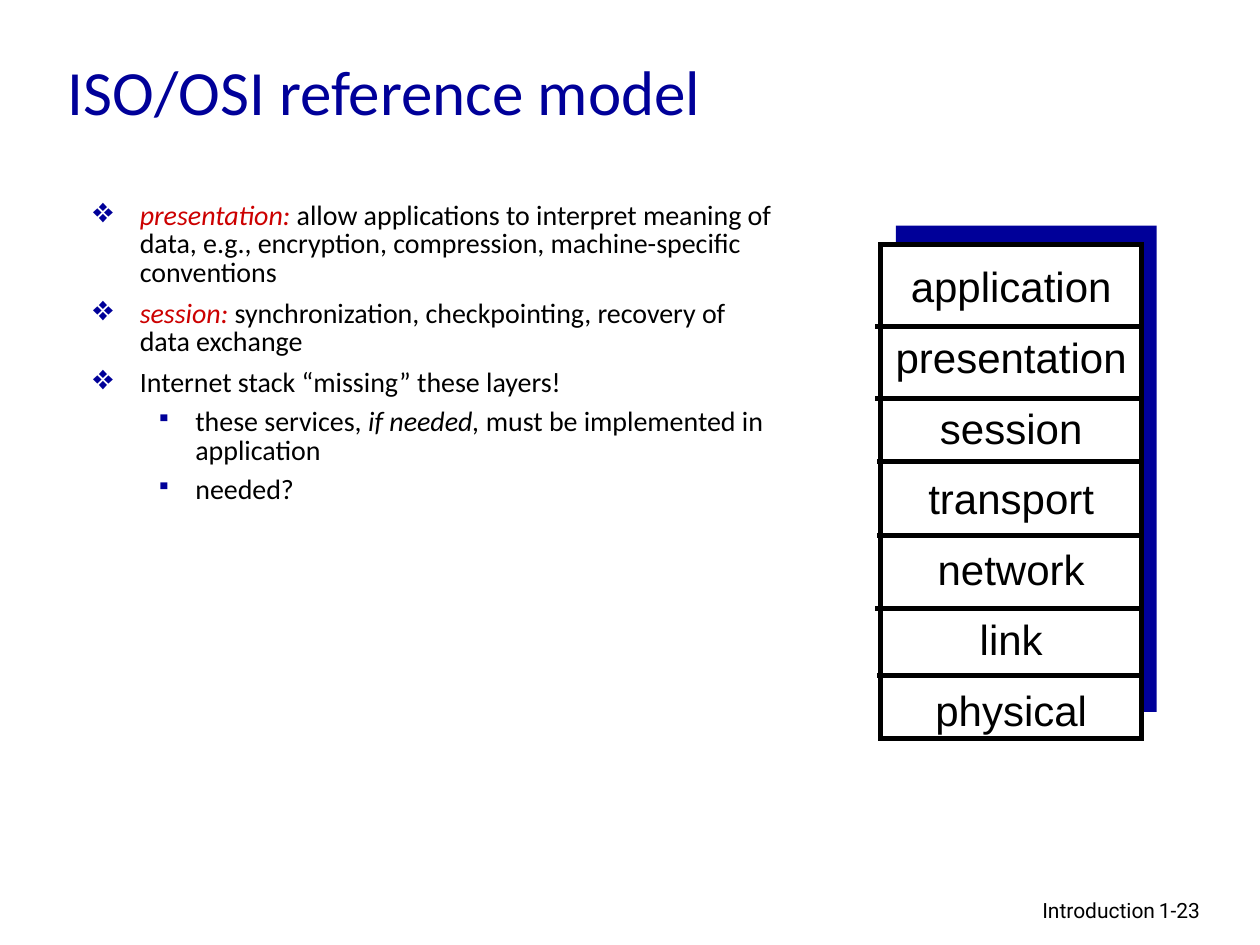
from dataclasses import dataclass

from lxml.etree import SubElement
from pptx import Presentation
from pptx.dml.color import RGBColor
from pptx.enum.shapes import MSO_CONNECTOR, MSO_SHAPE
from pptx.enum.text import MSO_ANCHOR as Anchor, PP_ALIGN as Align
from pptx.oxml.ns import qn
from pptx.slide import Slide
from pptx.text.text import TextFrame, _Paragraph as Paragraph
from pptx.util import Cm, Pt

NAVY = RGBColor(0x00, 0x00, 0x99)
RED = RGBColor(0xCC, 0x00, 0x00)
BLACK = RGBColor(0x00, 0x00, 0x00)
WHITE = RGBColor(0xFF, 0xFF, 0xFF)


@dataclass(frozen=True)
class Box:
    left: float
    top: float
    width: float
    height: float

    def lengths(self) -> list[Cm]:
        return [Cm(value) for value in (self.left, self.top, self.width, self.height)]


@dataclass(frozen=True)
class Span:
    text: str
    italic: bool = False
    color: RGBColor = BLACK


@dataclass(frozen=True)
class BulletStyle:
    symbol: str
    percent: int
    level: int
    margin: float
    hanging: float
    space_before: float


@dataclass(frozen=True)
class Bullet:
    style: BulletStyle
    spans: tuple[Span, ...]


@dataclass(frozen=True)
class Divider:
    left: float
    top: float


TOPIC = BulletStyle("❖", 125, 0, 0.94, 0.94, 7)
DETAIL = BulletStyle("▪", 75, 1, 2.06, 0.79, 6)
BULLETS = (
    Bullet(TOPIC, (
        Span("presentation:", True, RED),
        Span(" allow applications to interpret meaning of data, e.g., "
             "encryption, compression, machine-specific conventions"),
    )),
    Bullet(TOPIC, (
        Span("session:", True, RED),
        Span(" synchronization, checkpointing, recovery of data exchange"),
    )),
    Bullet(TOPIC, (Span("Internet stack “missing” these layers!"),)),
    Bullet(DETAIL, (
        Span("these services, "),
        Span("if needed,", True),
        Span(" must be implemented in application"),
    )),
    Bullet(DETAIL, (Span("needed?"),)),
)

LAYERS = ("application", "presentation", "session", "transport",
          "network", "link", "physical")
LAYER_GAP = Pt(20.2)
DIVIDERS = (Divider(17.7, 6.58), Divider(17.7, 8.03), Divider(17.73, 9.3),
            Divider(17.73, 10.8), Divider(17.7, 12.27), Divider(17.73, 13.61))
DIVIDER_WIDTH = 5.25
STACK_LINE = Pt(3)


def add_text_frame(slide: Slide, box: Box) -> TextFrame:
    frame = slide.shapes.add_textbox(*box.lengths()).text_frame
    frame.word_wrap = True
    return frame


def next_paragraph(frame: TextFrame, index: int) -> Paragraph:
    return frame.add_paragraph() if index else frame.paragraphs[0]


def set_font(paragraph: Paragraph, name: str, size: float, color: RGBColor) -> None:
    paragraph.font.name = name
    paragraph.font.size = Pt(size)
    paragraph.font.color.rgb = color


def add_line_of_text(slide: Slide, box: Box, text: str, font: str, size: float,
                     color: RGBColor = BLACK, align: Align = Align.LEFT,
                     anchor: Anchor = Anchor.TOP) -> None:
    frame = add_text_frame(slide, box)
    frame.vertical_anchor = anchor
    paragraph = frame.paragraphs[0]
    paragraph.text = text
    paragraph.alignment = align
    set_font(paragraph, font, size, color)


def set_bullet(paragraph: Paragraph, style: BulletStyle) -> None:
    paragraph.level = style.level
    properties = paragraph._p.get_or_add_pPr()
    properties.set("marL", str(Cm(style.margin)))
    properties.set("indent", str(-Cm(style.hanging)))
    color = SubElement(properties, qn("a:buClr"))
    SubElement(color, qn("a:srgbClr"), val=str(NAVY))
    SubElement(properties, qn("a:buSzPct"), val=str(style.percent * 1000))
    SubElement(properties, qn("a:buChar"), char=style.symbol)


def add_bullets(slide: Slide, box: Box, bullets: tuple[Bullet, ...]) -> None:
    frame = add_text_frame(slide, box)
    for index, bullet in enumerate(bullets):
        paragraph = next_paragraph(frame, index)
        set_bullet(paragraph, bullet.style)
        paragraph.line_spacing = 0.85
        paragraph.space_before = Pt(bullet.style.space_before)
        paragraph.font.name = "Calibri"
        paragraph.font.size = Pt(16)
        for span in bullet.spans:
            run = paragraph.add_run()
            run.text = span.text
            run.font.italic = span.italic
            run.font.color.rgb = span.color


def add_panel(slide: Slide, box: Box, fill: RGBColor, outlined: bool) -> None:
    shape = slide.shapes.add_shape(MSO_SHAPE.RECTANGLE, *box.lengths())
    shape.shadow.inherit = False
    shape.fill.solid()
    shape.fill.fore_color.rgb = fill
    if outlined:
        shape.line.color.rgb = BLACK
        shape.line.width = STACK_LINE
        SubElement(shape.line._get_or_add_ln(), qn("a:miter"), lim="800000")
    else:
        shape.line.fill.background()


def add_layer_names(slide: Slide, box: Box) -> None:
    frame = add_text_frame(slide, box)
    for index, layer in enumerate(LAYERS):
        paragraph = next_paragraph(frame, index)
        paragraph.text = layer
        paragraph.alignment = Align.CENTER
        paragraph.line_spacing = 0.7
        paragraph.space_after = LAYER_GAP
        set_font(paragraph, "Arial", 24, BLACK)


def add_divider(slide: Slide, divider: Divider) -> None:
    top = Cm(divider.top)
    connector = slide.shapes.add_connector(
        MSO_CONNECTOR.STRAIGHT, Cm(divider.left), top,
        Cm(divider.left + DIVIDER_WIDTH), top)
    connector.line.color.rgb = BLACK
    connector.line.width = STACK_LINE
    connector.line._get_or_add_ln().set("cap", "sq")
    SubElement(connector._element.spPr, qn("a:effectLst"))


def main() -> None:
    presentation = Presentation()
    presentation.slide_width = Cm(25.4)
    presentation.slide_height = Cm(19.05)
    slide = presentation.slides.add_slide(presentation.slide_layouts[6])

    add_line_of_text(slide, Box(15.49, 17.96, 8.05, 0.79), "Introduction",
                     "Roboto", 12, align=Align.RIGHT)
    add_panel(slide, Box(18.06, 4.55, 5.26, 9.8), NAVY, outlined=False)
    add_line_of_text(slide, Box(1.12, 0.23, 18.06, 3.18), "ISO/OSI reference model",
                     "Calibri", 36, NAVY, anchor=Anchor.MIDDLE)
    add_bullets(slide, Box(1.63, 3.96, 14.33, 12.9), BULLETS)
    add_panel(slide, Box(17.75, 4.93, 5.26, 9.96), WHITE, outlined=True)
    add_layer_names(slide, Box(17.63, 5.41, 5.51, 9.5))
    for divider in DIVIDERS:
        add_divider(slide, divider)
    add_line_of_text(slide, Box(23.11, 17.96, 1.88, 0.76), "1-23", "Roboto", 12)

    presentation.save("out.pptx")


if __name__ == "__main__":
    main()
